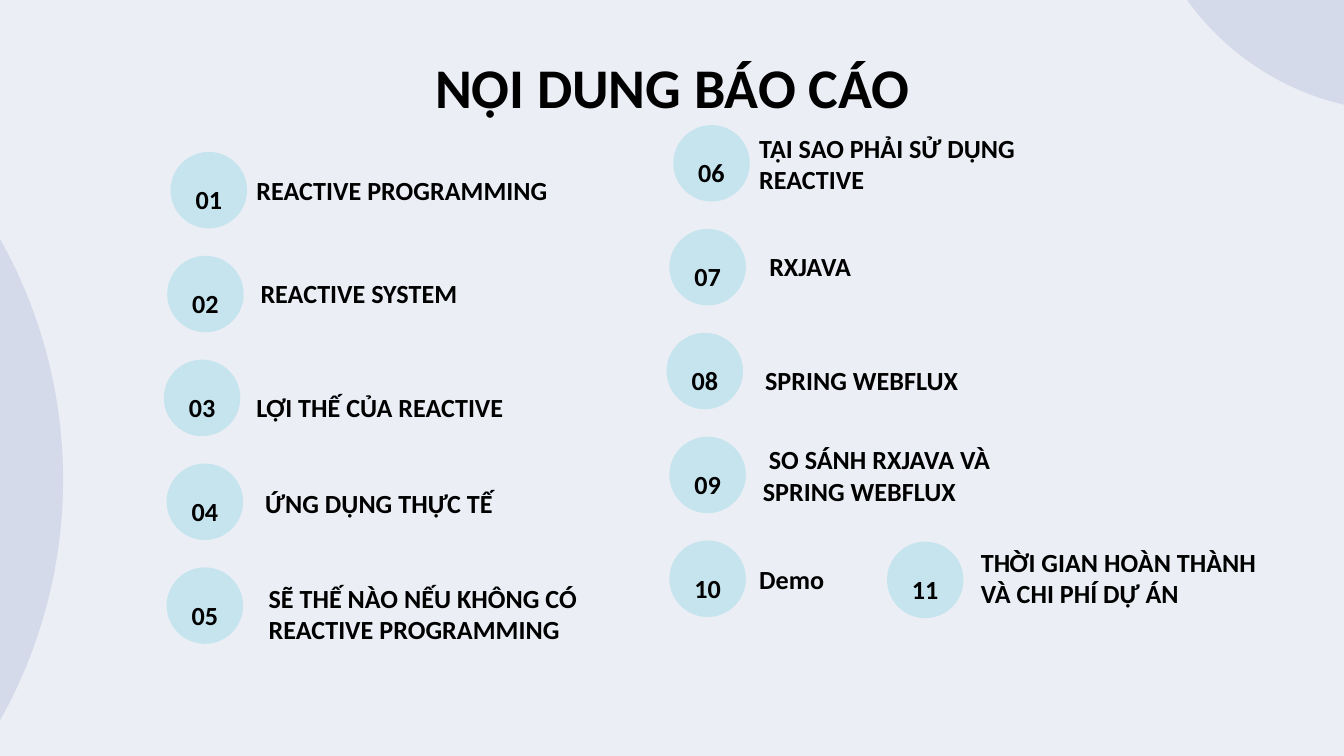
import pptx
import pptx.dml.color
import pptx.enum.shapes
import pptx.enum.text
import pptx.util

Pt = pptx.util.Pt
ANCHOR = pptx.enum.text.MSO_ANCHOR
ALIGN = pptx.enum.text.PP_ALIGN

COLORS = {"background": "EBEEF5", "decor": "D4DAE9", "badge": "C5E4EE", "text": "000000"}
FONT = "Calibri"
TITLE = "NỘI DUNG BÁO CÁO"

# left, top, diameter
DECOR = [(-491.8, -5.8, 525.6), (609.1, -226.8, 286.6)]

# Each column: top of its first badge, then
# (badge left, label, label left, label drop below badge top, label width)
COLUMNS = [
    (81.4, [
        (91.4, "REACTIVE PROGRAMMING", 130.3, 0, 173.5),
        (89.6, "REACTIVE SYSTEM", 132.5, -0.4, 123.8),
        (87.8, "LỢI THẾ CỦA REACTIVE", 130.3, 4.7, 148.3),
        (89.3, "ỨNG DỤNG THỰC TẾ", 135, 0.8, 148.3),
        (89.3, "SẼ THẾ NÀO NẾU KHÔNG CÓ REACTIVE PROGRAMMING", 136.8, 4.3, 188.6),
    ]),
    (67, [
        (360.7, "TẠI SAO PHẢI SỬ DỤNG REACTIVE", 399.6, 0, 173.5),
        (358.6, "RXJAVA", 405, -0.4, 123.8),
        (357.1, "SPRING WEBFLUX", 402.8, 4.7, 148.3),
        (358.6, "SO SÁNH RXJAVA VÀ SPRING WEBFLUX", 401.6, 0, 148.3),
        (358.6, "Demo", 399.6, 0, 188.6),
    ]),
    (290.2, [
        (475.2, "THỜI GIAN HOÀN THÀNH VÀ CHI PHÍ DỰ ÁN", 518.4, -1.4, 170.6),
    ]),
]
FIRST_LINE_INDENT = {9: 3.2}

ROW_PITCH = 55.65
BADGE = 41
NUMBER_DROP, NUMBER_HEIGHT = 15.6, 19.4
INSET = 7.2


def rgb(name):
    return pptx.dml.color.RGBColor.from_string(COLORS[name])


def add_circle(left, top, diameter, color):
    sp = slide.shapes.add_shape(pptx.enum.shapes.MSO_SHAPE.OVAL,
                                Pt(left), Pt(top), Pt(diameter), Pt(diameter))
    sp.shadow.inherit = False
    sp.fill.solid()
    sp.fill.fore_color.rgb = rgb(color)
    sp.line.fill.background()


def write(sp, text, size, align, anchor):
    tf = sp.text_frame
    tf.word_wrap = True
    tf.auto_size = pptx.enum.text.MSO_AUTO_SIZE.NONE
    tf.vertical_anchor = anchor
    tf.margin_left = tf.margin_right = tf.margin_top = tf.margin_bottom = Pt(INSET)
    p = tf.paragraphs[0]
    p.text = text
    p.alignment = align
    p.line_spacing = 1.0
    p.space_before = Pt(0)
    p.font.name, p.font.size, p.font.bold = FONT, Pt(size), True
    p.font.color.rgb = rgb("text")
    return p


def add_text(text, left, top, width, height, align):
    sp = slide.shapes.add_textbox(Pt(left), Pt(top), Pt(width), Pt(height))
    return write(sp, text, 14, align, ANCHOR.MIDDLE)


prs = pptx.Presentation()
prs.slide_width, prs.slide_height = Pt(720), Pt(405)
slide = prs.slides.add_slide(prs.slide_layouts[5])
slide.background.fill.solid()
slide.background.fill.fore_color.rgb = rgb("background")

for left, top, diameter in DECOR:
    add_circle(left, top, diameter, "decor")

title = slide.shapes.title
title.left, title.top, title.width, title.height = Pt(56.7), Pt(20.9), Pt(607), Pt(43.2)
write(title, TITLE, 30, ALIGN.CENTER, ANCHOR.TOP)

number = 0
for first_top, items in COLUMNS:
    for row, (left, label, label_left, drop, width) in enumerate(items):
        number += 1
        top = first_top + row * ROW_PITCH
        add_circle(left, top, BADGE, "badge")
        add_text(f"{number:02}", left, top + NUMBER_DROP, BADGE, NUMBER_HEIGHT, ALIGN.CENTER)
        p = add_text(label, label_left, top + drop, width, BADGE, ALIGN.LEFT)
        if number in FIRST_LINE_INDENT:
            p._p.get_or_add_pPr().set("indent", str(Pt(FIRST_LINE_INDENT[number])))

prs.save("out.pptx")
